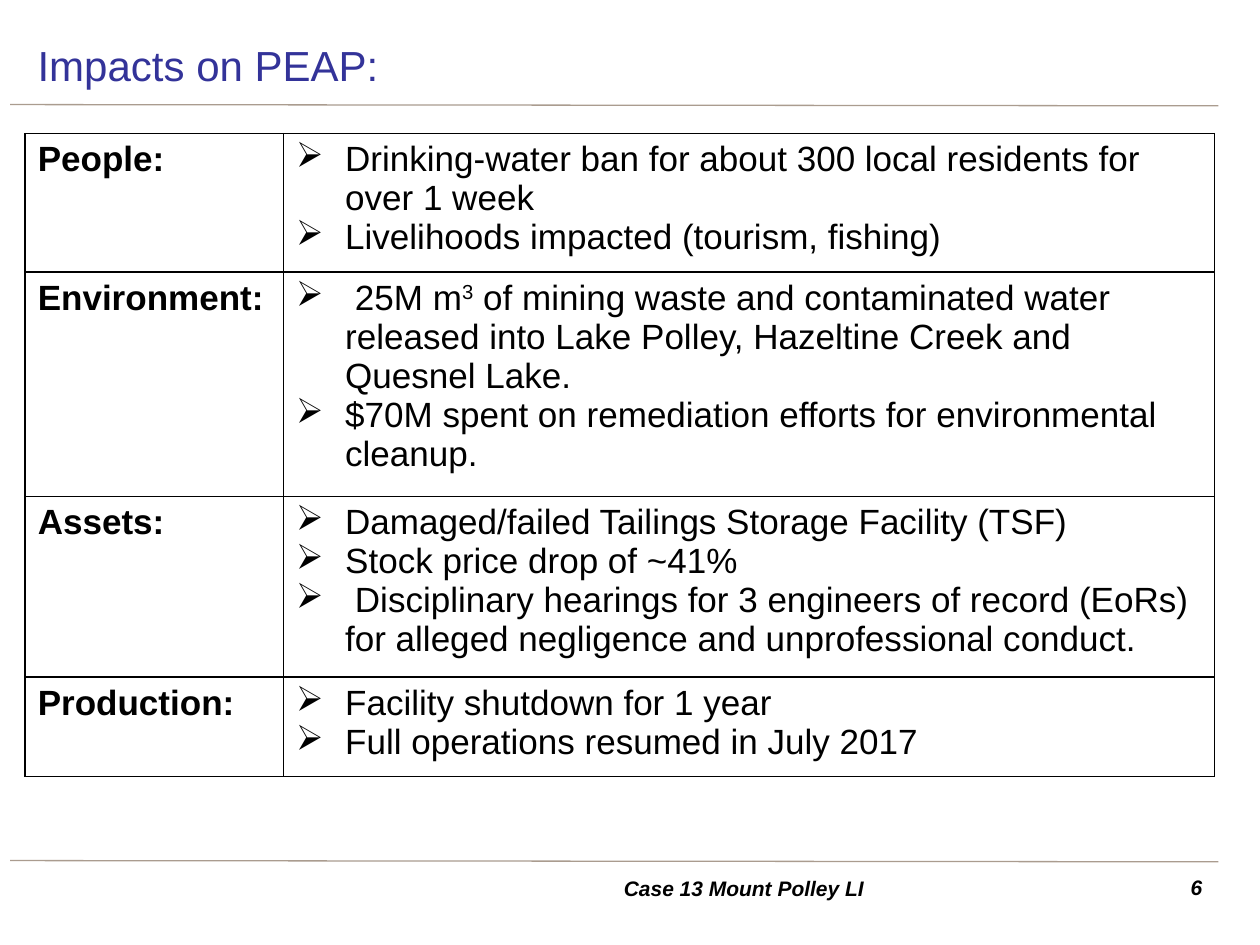
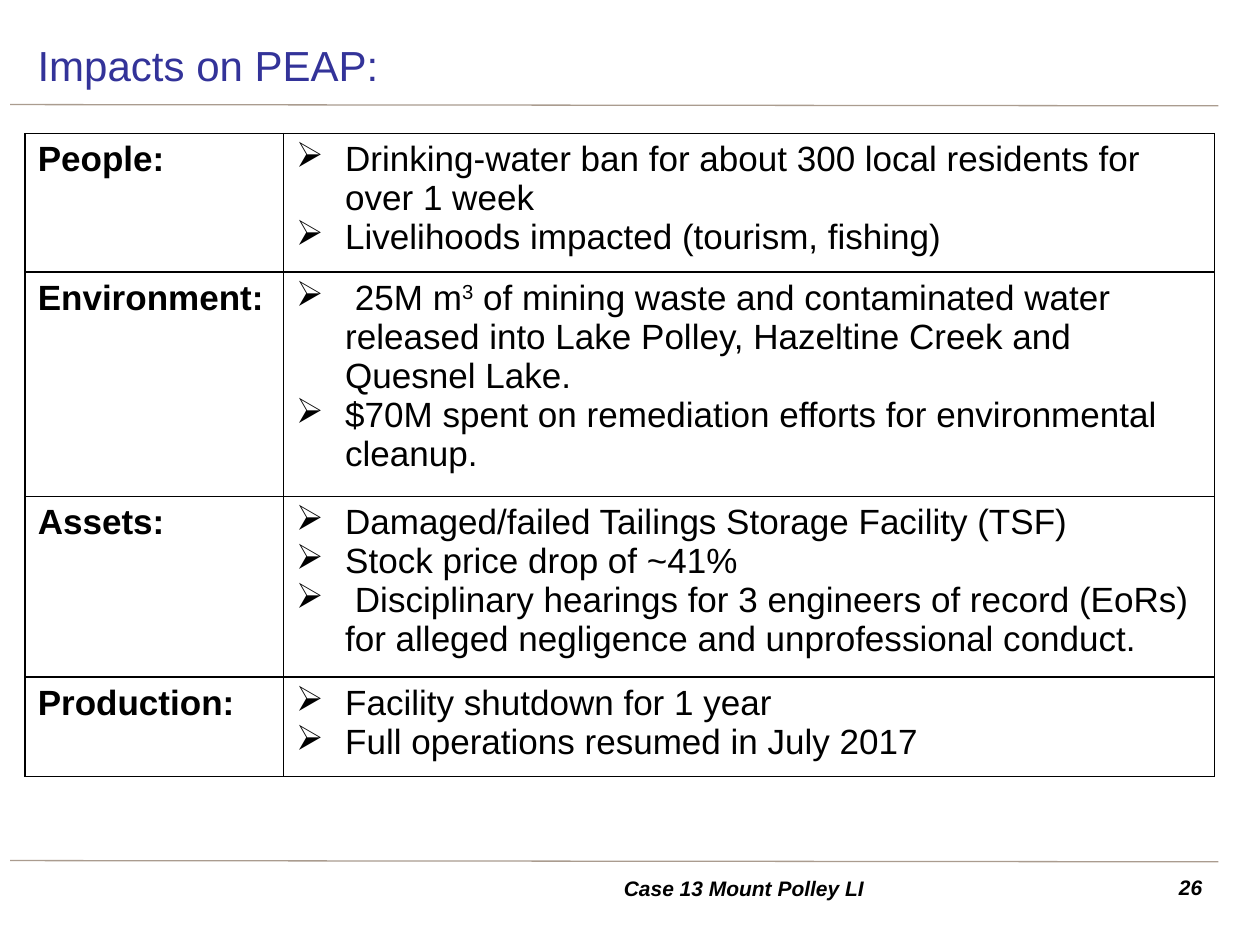
from lxml.etree import SubElement
from pptx import Presentation
from pptx.dml.color import RGBColor
from pptx.enum.shapes import MSO_CONNECTOR as Connector
from pptx.enum.text import MSO_ANCHOR as Anchor, PP_ALIGN as Align
from pptx.oxml.ns import qn
from pptx.util import Inches, Pt

TITLE = "Impacts on PEAP:"
FOOTER = "Case 13 Mount Polley LI"
PAGE_NUMBERS = ["6", "26"]
IMPACTS = [
    ("People:", 1.02, [
        ["Drinking-water ban for about 300 local residents for over 1 week"],
        ["Livelihoods impacted (tourism, fishing)"],
    ]),
    ("Environment:", 1.78, [
        [" 25M m", "3", " of mining waste and contaminated water released into "
         "Lake Polley, Hazeltine Creek and Quesnel Lake."],
        ["$70M spent on remediation efforts for environmental cleanup."],
    ]),
    ("Assets:", 1.33, [
        ["Damaged/failed Tailings Storage Facility (TSF)"],
        ["Stock price drop of ~41%"],
        [" Disciplinary hearings for 3 engineers of record (EoRs) "
         "for alleged negligence and unprofessional conduct."],
    ]),
    ("Production:", 0.79, [
        ["Facility shutdown for 1 year"],
        ["Full operations resumed in July 2017"],
    ]),
]
COLUMN_WIDTHS = [2.05, 7.39]
RULE_TOPS = [0.83, 6.83]
FONT, BLACK, WHITE, BLUE, TAUPE = "Arial", "000000", "FFFFFF", "333399", "AA9C8F"
BULLET_FONT, ARROW_BULLET = "Wingdings", "Ø"
HANGING_INDENT = Inches(0.39)


def color(value):
    return RGBColor.from_string(value)


def style(paragraph, size, text_color=BLACK, bold=False, italic=False):
    font = paragraph.font
    font.name, font.size, font.bold, font.italic = FONT, Pt(size), bold, italic
    font.color.rgb = color(text_color)


def add_text(slide, text, box, size, alignment=Align.LEFT, anchor=Anchor.MIDDLE, **look):
    frame = slide.shapes.add_textbox(*map(Inches, box)).text_frame
    frame.word_wrap = True
    frame.vertical_anchor = anchor
    paragraph = frame.paragraphs[0]
    paragraph.text = text
    paragraph.alignment = alignment
    style(paragraph, size, **look)


def add_rule(slide, top):
    rule = slide.shapes.add_connector(
        Connector.STRAIGHT, *map(Inches, (0.08, top, 9.67, top + 0.01)))
    rule.line.color.rgb = color(TAUPE)
    rule.line.width = Pt(0.75)
    SubElement(rule._element.spPr, qn("a:effectLst"))


def add_bullet(paragraph):
    properties = paragraph._p.get_or_add_pPr()
    properties.set("marL", str(HANGING_INDENT))
    properties.set("indent", str(-HANGING_INDENT))
    bullet_color = SubElement(properties, qn("a:buClr"))
    SubElement(bullet_color, qn("a:srgbClr"), val=BLACK)
    SubElement(properties, qn("a:buFont"), typeface=BULLET_FONT,
               pitchFamily="2", charset="2")
    SubElement(properties, qn("a:buChar"), char=ARROW_BULLET)


def format_cell(cell):
    cell.fill.solid()
    cell.fill.fore_color.rgb = color(WHITE)
    properties = cell._tc.get_or_add_tcPr()
    for position, side in enumerate(("lnL", "lnR", "lnT", "lnB")):
        border = SubElement(properties, qn(f"a:{side}"), w=str(Pt(1)))
        fill = SubElement(border, qn("a:solidFill"))
        SubElement(fill, qn("a:srgbClr"), val=BLACK)
        properties.insert(position, border)


def fill_bullets(frame, bullets):
    for index, parts in enumerate(bullets):
        paragraph = frame.add_paragraph() if index else frame.paragraphs[0]
        add_bullet(paragraph)
        style(paragraph, 20)
        for part_index, part in enumerate(parts):
            run = paragraph.add_run()
            run.text = part
            if part_index == 1:
                run.font._element.set("baseline", "30000")


def add_impacts(slide):
    height = sum(row_height for _, row_height, _ in IMPACTS)
    table = slide.shapes.add_table(
        len(IMPACTS), 2, Inches(0.2), Inches(1.06),
        Inches(sum(COLUMN_WIDTHS)), Inches(height)).table
    table.first_row = table.horz_banding = False
    for column, width in zip(table.columns, COLUMN_WIDTHS):
        column.width = Inches(width)
    for row, (category, row_height, bullets) in zip(table.rows, IMPACTS):
        row.height = Inches(row_height)
        label, details = row.cells
        label.text = category
        style(label.text_frame.paragraphs[0], 20, bold=True)
        fill_bullets(details.text_frame, bullets)
        for cell in (label, details):
            format_cell(cell)


def add_slide(presentation, page_number):
    slide = presentation.slides.add_slide(presentation.slide_layouts[6])
    for top in RULE_TOPS:
        add_rule(slide, top)
    add_text(slide, TITLE, (0.2, 0.24, 9.45, 0.55), 24, text_color=BLUE)
    add_text(slide, page_number, (9.06, 6.89, 0.58, 0.31), 12,
             Align.RIGHT, Anchor.TOP, bold=True, italic=True)
    add_text(slide, FOOTER, (2.95, 6.89, 5.91, 0.31), 12,
             Align.CENTER, bold=True, italic=True)
    add_impacts(slide)


def main():
    presentation = Presentation()
    presentation.slide_width, presentation.slide_height = Inches(10), Inches(7.5)
    for page_number in PAGE_NUMBERS:
        add_slide(presentation, page_number)
    presentation.save("out.pptx")


if __name__ == "__main__":
    main()
